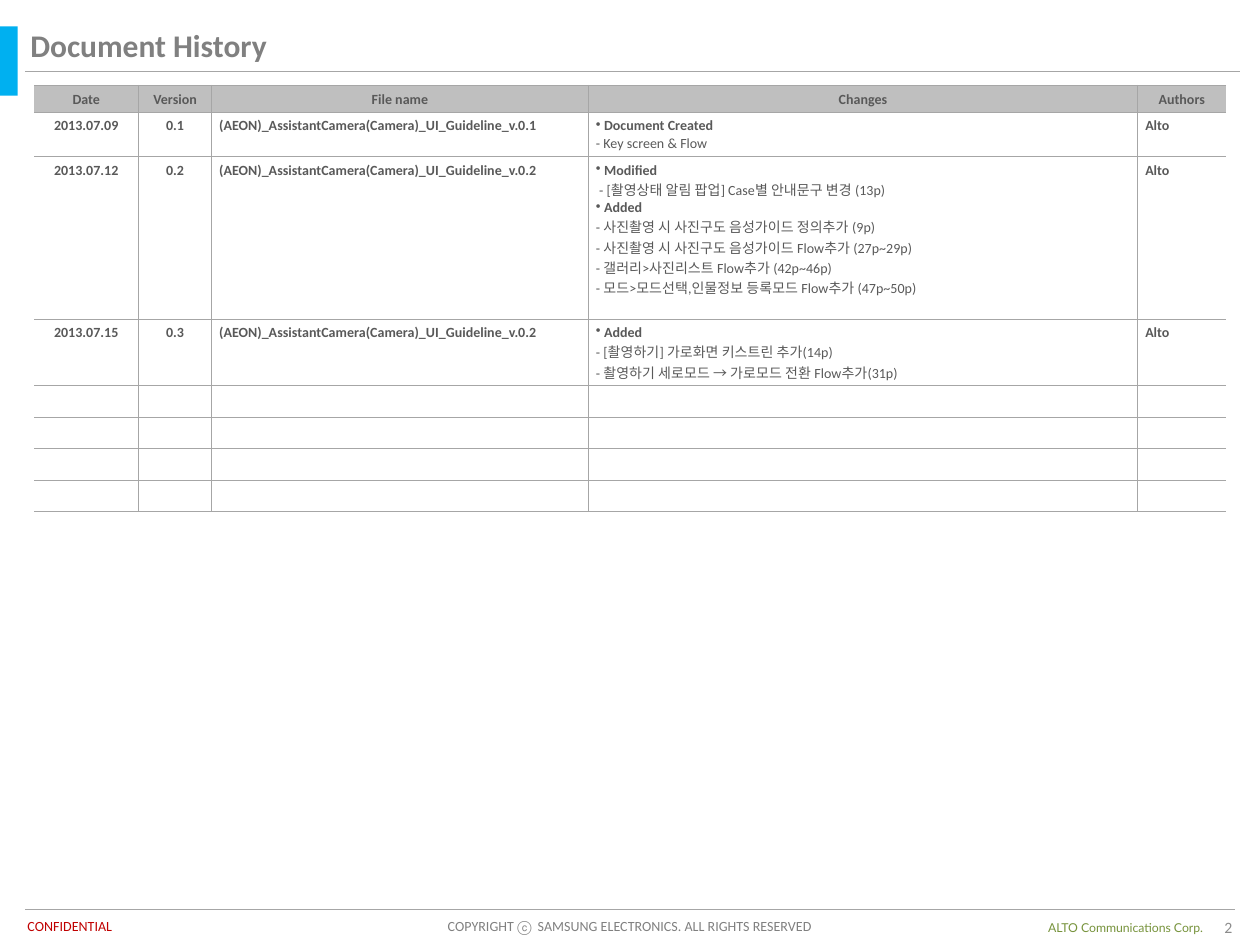
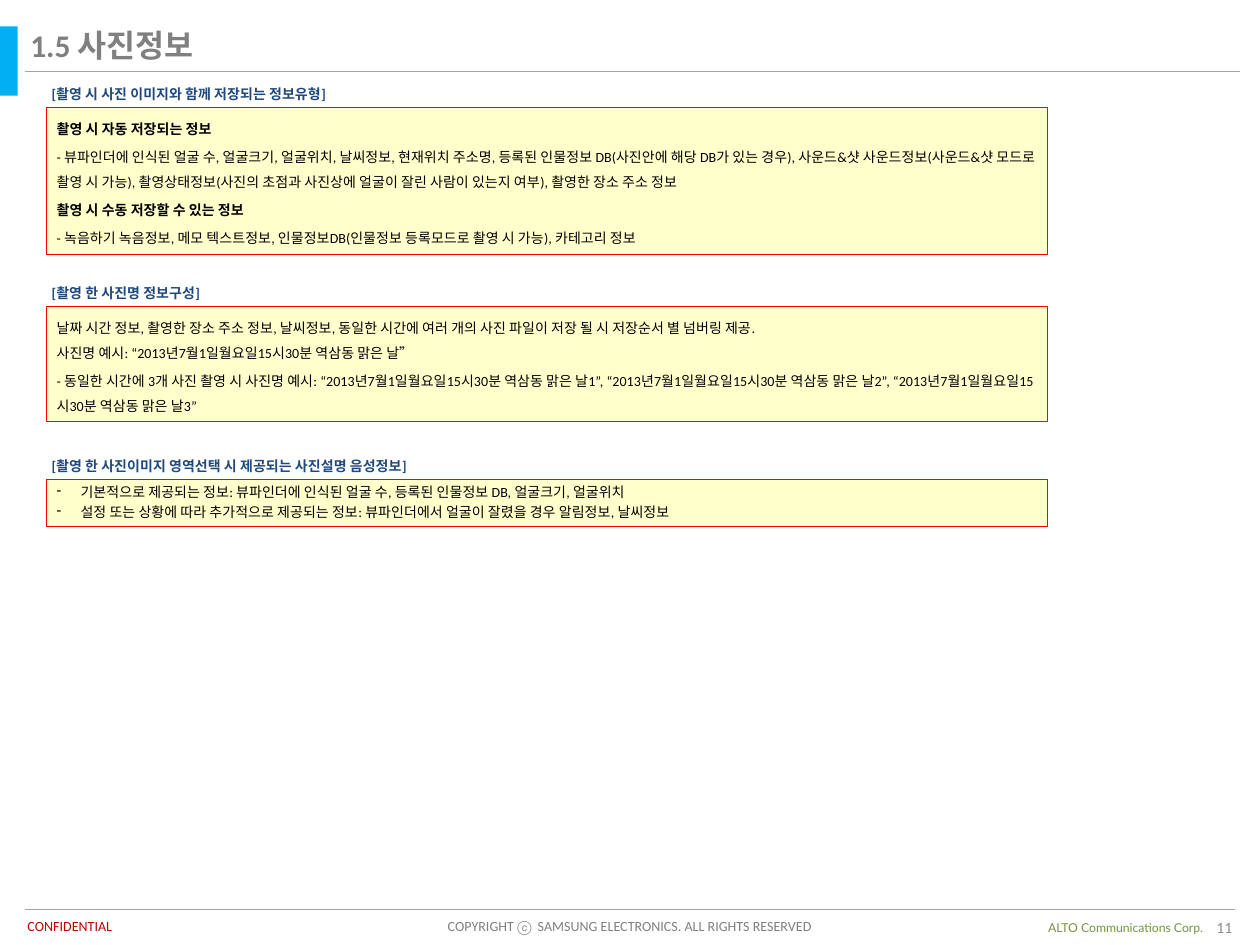
"""Build the document history and photo information slides of a UI guideline."""
import pptx
import pptx.dml.color
import pptx.enum.shapes
import pptx.enum.text
import pptx.oxml.ns
import pptx.util
from lxml import etree

Inches = pptx.util.Inches
Pt = pptx.util.Pt
qn = pptx.oxml.ns.qn
ALIGN = pptx.enum.text.PP_ALIGN
ANCHOR = pptx.enum.text.MSO_ANCHOR
AUTO_SIZE = pptx.enum.text.MSO_AUTO_SIZE

COLORS = {
    "accent": "00B0F0",
    "rule": "A6A6A6",
    "title": "808080",
    "number": "8C8C8C",
    "confidential": "C00000",
    "company": "77933C",
    "header": "BFBFBF",
    "cell": "595959",
    "white": "FFFFFF",
    "caption": "1F497D",
    "panel": "FFFFCC",
    "panel_line": "FF0000",
    "black": "000000",
}
FONT = "Calibri"
CELL_INSETS = (0.06, 0.04, 0.06, 0.04)
PANEL_LEFT = 0.37
PANEL_WIDTH = 7.94
CAPTION_HEIGHT = 0.21

COLUMNS = [("Date", 0.83), ("Version", 0.58), ("File name", 2.99), ("Changes", 4.36), ("Authors", 0.7)]
ROW_HEIGHTS = [0.21, 0.35, 1.29, 0.53] + [0.25] * 4
HISTORY = [
    ("2013.07.09", "0.1", "(AEON)_AssistantCamera(Camera)_UI_Guideline_v.0.1",
     ["• Document Created", "- Key screen & Flow"], "Alto"),
    ("2013.07.12", "0.2", "(AEON)_AssistantCamera(Camera)_UI_Guideline_v.0.2",
     ["• Modified",
      " - [촬영상태 알림 팝업] Case별 안내문구 변경 (13p)",
      "• Added",
      "- 사진촬영 시 사진구도 음성가이드 정의추가 (9p)",
      "- 사진촬영 시 사진구도 음성가이드 Flow추가 (27p~29p)",
      "- 갤러리>사진리스트 Flow추가 (42p~46p)",
      "- 모드>모드선택,인물정보 등록모드 Flow추가 (47p~50p)"], "Alto"),
    ("2013.07.15", "0.3", "(AEON)_AssistantCamera(Camera)_UI_Guideline_v.0.2",
     ["• Added",
      "- [촬영하기] 가로화면 키스트린 추가(14p)",
      "- 촬영하기 세로모드 → 가로모드 전환 Flow추가(31p)"], "Alto"),
]

SAVED_INFO = [
    ("촬영 시 자동 저장되는 정보", {"bold": True}),
    ("- 뷰파인더에 인식된 얼굴 수, 얼굴크기, 얼굴위치, 날씨정보, 현재위치 주소명, 등록된 인물정보 DB"
     "(사진안에 해당 DB가 있는 경우), 사운드&샷 사운드정보(사운드&샷 모드로 촬영 시 가능), "
     "촬영상태정보(사진의 초점과 사진상에 얼굴이 잘린 사람이 있는지 여부), 촬영한 장소 주소 정보", {}),
    ("촬영 시 수동 저장할 수 있는 정보", {"bold": True}),
    ("- 녹음하기 녹음정보, 메모 텍스트정보, 인물정보DB(인물정보 등록모드로 촬영 시 가능), 카테고리 정보", {}),
]
PHOTO_NAME = "“2013년7월1일월요일15시30분 역삼동 맑은 날{}”"
NAME_INFO = [
    ("날짜 시간 정보, 촬영한 장소 주소 정보, 날씨정보, 동일한 시간에 여러 개의 사진 파일이 "
     "저장 될 시 저장순서 별 넘버링 제공.", {}),
    ("사진명 예시: " + PHOTO_NAME.format(""), {"before": 0}),
    ("- 동일한 시간에 3개 사진 촬영 시 사진명 예시: "
     + ", ".join(PHOTO_NAME.format(number) for number in (1, 2, 3)), {}),
]
VOICE_INFO = [
    ("기본적으로 제공되는 정보: 뷰파인더에 인식된 얼굴 수, 등록된 인물정보 DB, 얼굴크기, 얼굴위치", {}),
    ("설정 또는 상황에 따라 추가적으로 제공되는 정보: 뷰파인더에서 얼굴이 잘렸을 경우 알림정보, 날씨정보", {}),
]
PANEL_FORMAT = {"color": "black", "before": 1.6}
WIDE_FORMAT = {**PANEL_FORMAT, "line_spacing": 1.5}
DASH_FORMAT = {**PANEL_FORMAT, "bullet": "-", "hanging": 0.19}
PANELS = [
    ("[촬영 시 사진 이미지와 함께 저장되는 정보유형]", 2.43, 0.85, 1.17, SAVED_INFO, WIDE_FORMAT),
    ("[촬영 한 사진명 정보구성]", 1.35, 2.43, 0.91, NAME_INFO, WIDE_FORMAT),
    ("[촬영 한 사진이미지 영역선택 시 제공되는 사진설명 음성정보]", 3.13, 3.8, 0.38, VOICE_INFO, DASH_FORMAT),
]


def rgb(name):
    return pptx.dml.color.RGBColor.from_string(COLORS[name])


def write(frame, text, *, size=8, color="cell", bold=False, font=FONT, align=ALIGN.LEFT,
          before=0, line_spacing=None, bullet=None, hanging=0):
    first = not frame.text
    paragraph = frame.paragraphs[0] if first else frame.add_paragraph()
    properties = paragraph._p.get_or_add_pPr()
    properties.set("marL", str(Inches(hanging)))
    properties.set("indent", str(-Inches(hanging)))
    if bullet:
        etree.SubElement(properties, qn("a:buChar")).set("char", bullet)
    paragraph.alignment = align
    paragraph.space_before = Pt(0 if first else before)
    if line_spacing:
        paragraph.line_spacing = line_spacing
    run = paragraph.add_run()
    run.text = text
    run.font.size = Pt(size)
    run.font.bold = bold
    run.font.name = font
    run.font.color.rgb = rgb(color)


def set_insets(target, insets):
    target.margin_left, target.margin_top, target.margin_right, target.margin_bottom = map(Inches, insets)


def add_label(slide, box, text, *, wrap=False, anchor=ANCHOR.TOP, insets=(0.1, 0.05, 0.1, 0.05), **text_format):
    frame = slide.shapes.add_textbox(*map(Inches, box)).text_frame
    frame.word_wrap = wrap
    frame.auto_size = AUTO_SIZE.NONE if wrap else AUTO_SIZE.SHAPE_TO_FIT_TEXT
    frame.vertical_anchor = anchor
    set_insets(frame, insets)
    write(frame, text, **text_format)


def add_rectangle(slide, box, fill, line=None):
    rectangle = slide.shapes.add_shape(pptx.enum.shapes.MSO_SHAPE.RECTANGLE, *map(Inches, box))
    rectangle.shadow.inherit = False
    rectangle.fill.solid()
    rectangle.fill.fore_color.rgb = rgb(fill)
    if line:
        rectangle.line.color.rgb = rgb(line)
        rectangle.line.width = Pt(0.25)
    else:
        rectangle.line.fill.background()
    return rectangle


def add_rule(slide, top, right):
    rule = slide.shapes.add_connector(
        pptx.enum.shapes.MSO_CONNECTOR.STRAIGHT, Inches(0.2), Inches(top), Inches(right), Inches(top))
    rule.line.color.rgb = rgb("rule")
    rule.line.width = Pt(0.75)
    etree.SubElement(rule._element.spPr, qn("a:effectLst"))


def add_page(deck, heading, number):
    slide = deck.slides.add_slide(deck.slide_layouts.get_by_name("Title Only"))
    add_rule(slide, 7.22, 9.8)
    add_label(slide, (0.12, 7.23, 0.9, 0.24), "CONFIDENTIAL", color="confidential")
    add_label(slide, (2.4, 7.23, 5.2, 0.24), "COPYRIGHT ⓒ  SAMSUNG ELECTRONICS. ALL RIGHTS RESERVED",
              wrap=True, color="title", align=ALIGN.CENTER)
    add_label(slide, (8.22, 7.25, 1.46, 0.22), "ALTO Communications Corp.",
              anchor=ANCHOR.MIDDLE, size=7, font="Lato", color="company")
    add_rectangle(slide, (0, 0.21, 0.14, 0.55), "accent")
    add_rule(slide, 0.57, 9.84)
    title = slide.shapes.title
    title.left, title.top, title.width, title.height = map(Inches, (0.14, 0.16, 9.66, 0.37))
    title.text_frame.vertical_anchor = ANCHOR.TOP
    title.text_frame.auto_size = AUTO_SIZE.NONE
    write(title.text_frame, heading, size=18, color="title", bold=True)
    add_label(slide, (9.17, 7.26, 0.71, 0.19), str(number), wrap=True, anchor=ANCHOR.MIDDLE,
              size=9, color="number", align=ALIGN.RIGHT)
    return slide


def set_borders(cell, widths):
    properties = cell._tc.get_or_add_tcPr()
    for side, width in widths.items():
        border = etree.SubElement(properties, qn(f"a:ln{side}"))
        if width:
            border.set("w", str(Pt(width)))
            fill = etree.SubElement(border, qn("a:solidFill"))
            etree.SubElement(fill, qn("a:srgbClr")).set("val", COLORS["rule"])
        else:
            etree.SubElement(border, qn("a:noFill"))


def fill_cell(cell, content, is_header, align):
    lines = content if isinstance(content, list) else [content]
    for line in lines:
        bulleted = line.startswith("•")
        if line:
            write(cell.text_frame, line.removeprefix("•"), align=align, bullet="•" if bulleted else None,
                  bold=bulleted or not isinstance(content, list))
        else:
            ending = etree.SubElement(cell.text_frame.paragraphs[0]._p, qn("a:endParaRPr"))
            ending.set("sz", "800")
    cell.fill.solid()
    cell.fill.fore_color.rgb = rgb("header" if is_header else "white")
    set_insets(cell, CELL_INSETS)


def add_history_table(slide, left, top):
    last = len(COLUMNS) - 1
    width = sum(column_width for _, column_width in COLUMNS)
    frame = slide.shapes.add_table(len(ROW_HEIGHTS), len(COLUMNS), Inches(left), Inches(top),
                                   Inches(width), Inches(sum(ROW_HEIGHTS)))
    table = frame.table
    table.first_row = table.horz_banding = False
    for column, (_, column_width) in zip(table.columns, COLUMNS):
        column.width = Inches(column_width)
    for row, height in zip(table.rows, ROW_HEIGHTS):
        row.height = Inches(height)
    entries = [[name for name, _ in COLUMNS], *HISTORY]
    entries += [[""] * len(COLUMNS)] * (len(ROW_HEIGHTS) - len(entries))
    for row_index, entry in enumerate(entries):
        is_header = row_index == 0
        for column_index, content in enumerate(entry):
            cell = table.cell(row_index, column_index)
            set_borders(cell, {"L": 0.75 if column_index else 0, "R": 0.75 if column_index < last else 0,
                               "T": 1 if is_header else 0.75, "B": 0.75})
            centred = is_header or column_index < 2
            fill_cell(cell, content, is_header, ALIGN.CENTER if centred else ALIGN.JUSTIFY)


def add_info_panel(slide, caption, caption_width, top, height, lines, line_format):
    add_label(slide, (PANEL_LEFT, top - CAPTION_HEIGHT, caption_width, CAPTION_HEIGHT), caption,
              insets=(0.04,) * 4, color="caption", bold=True)
    panel = add_rectangle(slide, (PANEL_LEFT, top, PANEL_WIDTH, height), "panel", "panel_line")
    frame = panel.text_frame
    frame.word_wrap = True
    frame.vertical_anchor = ANCHOR.TOP
    set_insets(frame, (0.08, 0.04, 0.04, 0.04))
    for text, changes in lines:
        write(frame, text, **{**line_format, **changes})


def main():
    deck = pptx.Presentation()
    deck.slide_width, deck.slide_height = Inches(10), Inches(7.5)
    history = add_page(deck, "Document History", 2)
    add_history_table(history, 0.27, 0.68)
    photo_info = add_page(deck, "1.5 사진정보", 11)
    for panel in PANELS:
        add_info_panel(photo_info, *panel)
    deck.save("out.pptx")


if __name__ == "__main__":
    main()
